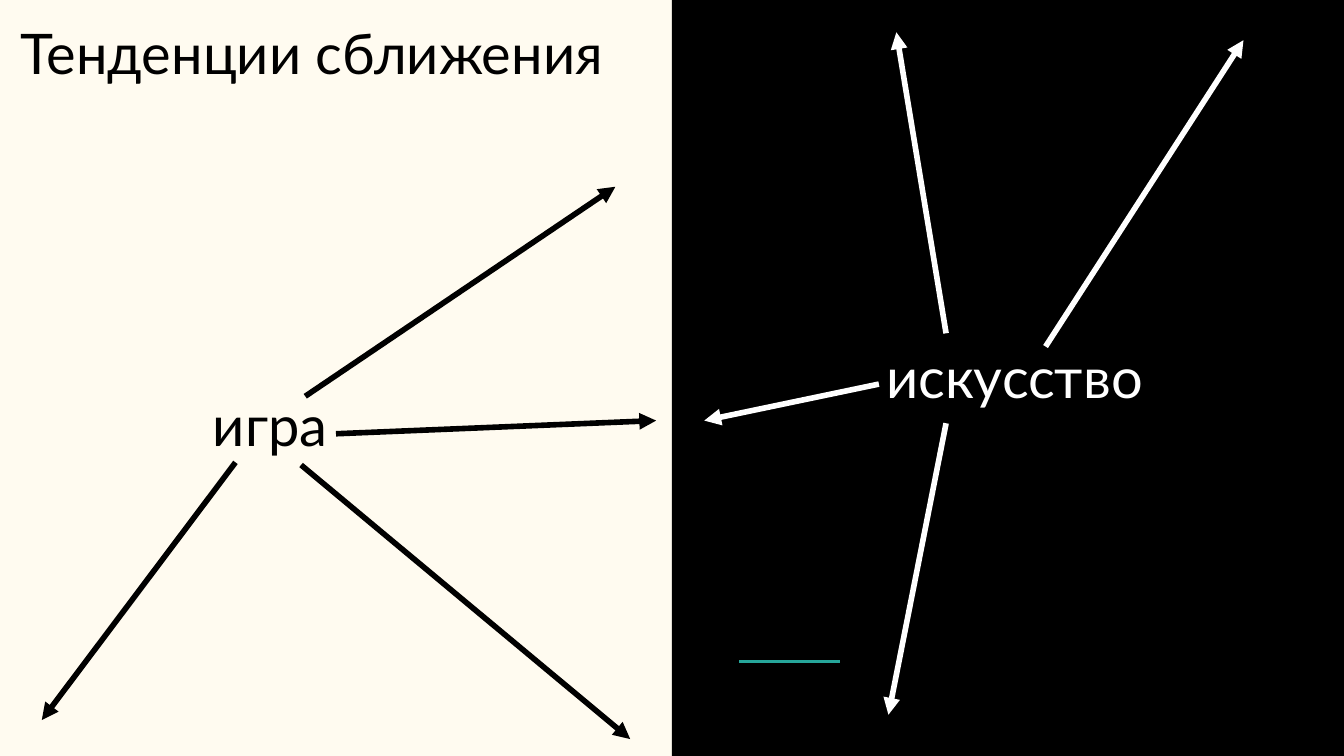
"""Build a slide that sets play and art side by side, with arrows leaving each word."""
from dataclasses import dataclass

from lxml import etree
from pptx import Presentation, util as u
from pptx.dml.color import RGBColor
from pptx.enum import shapes, text
from pptx.oxml import ns


@dataclass(frozen=True)
class Theme:
    cream: RGBColor = RGBColor.from_string("FFFBF0")
    black: RGBColor = RGBColor.from_string("000000")
    white: RGBColor = RGBColor.from_string("FFFFFF")
    teal: RGBColor = RGBColor.from_string("26A69A")
    font: str = "Lato"
    size: u.Pt = u.Pt(30)
    arrow: u.Pt = u.Pt(3)
    rule: u.Pt = u.Pt(1.5)


class SlideBuilder:
    def __init__(self, slide, theme):
        self.slide = slide
        self.theme = theme

    def background(self, color):
        fill = self.slide.background.fill
        fill.solid()
        fill.fore_color.rgb = color

    def panel(self, box, color):
        panel = self.slide.shapes.add_shape(shapes.MSO_SHAPE.RECTANGLE, *map(u.Cm, box))
        panel.shadow.inherit = False
        panel.fill.solid()
        panel.fill.fore_color.rgb = color
        panel.line.fill.background()

    def title(self, words, box, color):
        title = self.slide.shapes.title
        for name, value in zip(("left", "top", "width", "height"), box):
            setattr(title, name, u.Cm(value))
        self.set_words(title.text_frame, words, color, text.MSO_ANCHOR.BOTTOM)

    def label(self, words, box, color, anchor):
        label = self.slide.shapes.add_textbox(*map(u.Cm, box))
        self.set_words(label.text_frame, words, color, anchor)

    def set_words(self, frame, words, color, anchor):
        margins = dict.fromkeys(
            ("margin_left", "margin_top", "margin_right", "margin_bottom"), u.Cm(0.25))
        frame_format = {"word_wrap": True, "auto_size": text.MSO_AUTO_SIZE.NONE,
                        "vertical_anchor": anchor, **margins}
        for name, value in frame_format.items():
            setattr(frame, name, value)
        paragraph = frame.paragraphs[0]
        paragraph.alignment = text.PP_ALIGN.CENTER
        run = paragraph.add_run()
        run.text = words
        for name, value in {"name": self.theme.font, "size": self.theme.size}.items():
            setattr(run.font, name, value)
        run.font.color.rgb = color

    def line(self, ends, color, width):
        line = self.slide.shapes.add_connector(
            shapes.MSO_CONNECTOR.STRAIGHT, *map(u.Cm, ends))
        line.line.color.rgb = color
        line.line.width = width
        etree.SubElement(line._element.spPr, ns.qn("a:effectLst"))
        return line

    def arrow(self, ends, color):
        arrow = self.line(ends, color, self.theme.arrow)
        outline = arrow._element.spPr.find(ns.qn("a:ln"))
        etree.SubElement(outline, ns.qn("a:tailEnd"), type="triangle")


def main():
    theme = Theme()
    deck = Presentation()
    width, height = 25.4, 14.29
    deck.slide_width, deck.slide_height = u.Cm(width), u.Cm(height)
    builder = SlideBuilder(deck.slides.add_slide(deck.slide_layouts[5]), theme)

    builder.background(theme.cream)
    builder.panel((width / 2, 0, width / 2, height), theme.black)
    builder.line((13.97, 12.5, 15.88, 12.5), theme.teal, theme.rule)
    builder.title("Тенденции сближения", (-1.52, 0.18, 14.83, 1.7), theme.black)
    builder.label("искусство", (7.34, 6.3, 23.67, 1.7), theme.white, text.MSO_ANCHOR.BOTTOM)
    builder.label("игра", (0.94, 7.14, 8.33, 1.7), theme.black, text.MSO_ANCHOR.TOP)

    play_arrows = (
        (5.69, 8.79, 11.91, 13.97),
        (6.35, 8.2, 12.4, 7.95),
        (5.77, 7.49, 11.63, 3.53),
        (4.45, 8.74, 0.79, 13.61),
    )
    art_arrows = (
        (17.88, 6.3, 16.94, 0.61),
        (17.88, 8, 16.79, 13.51),
        (16.61, 7.26, 13.31, 7.95),
        (19.76, 6.55, 23.5, 0.76),
    )
    for arrows, color in ((play_arrows, theme.black), (art_arrows, theme.white)):
        for ends in arrows:
            builder.arrow(ends, color)

    deck.save("out.pptx")


if __name__ == "__main__":
    main()
